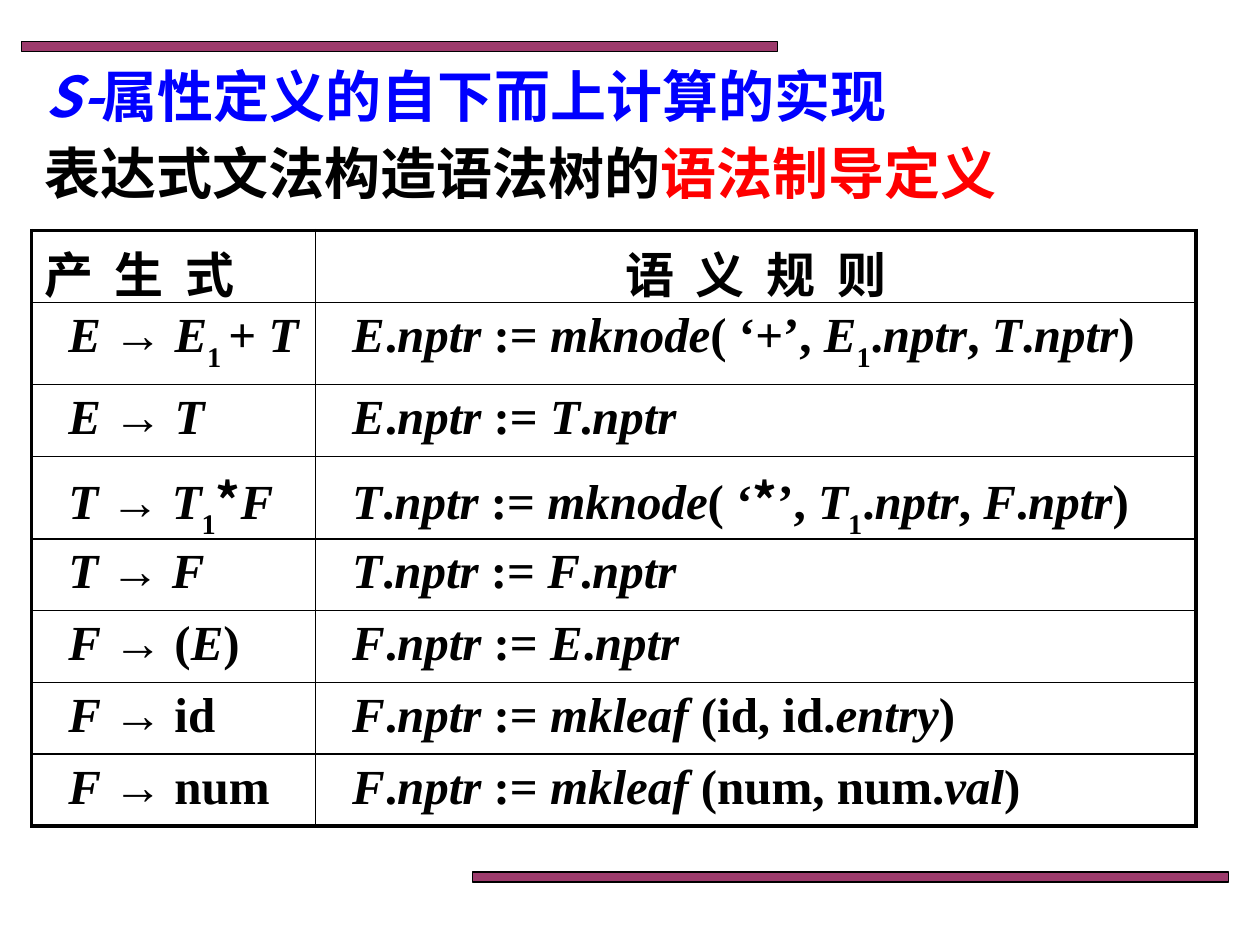
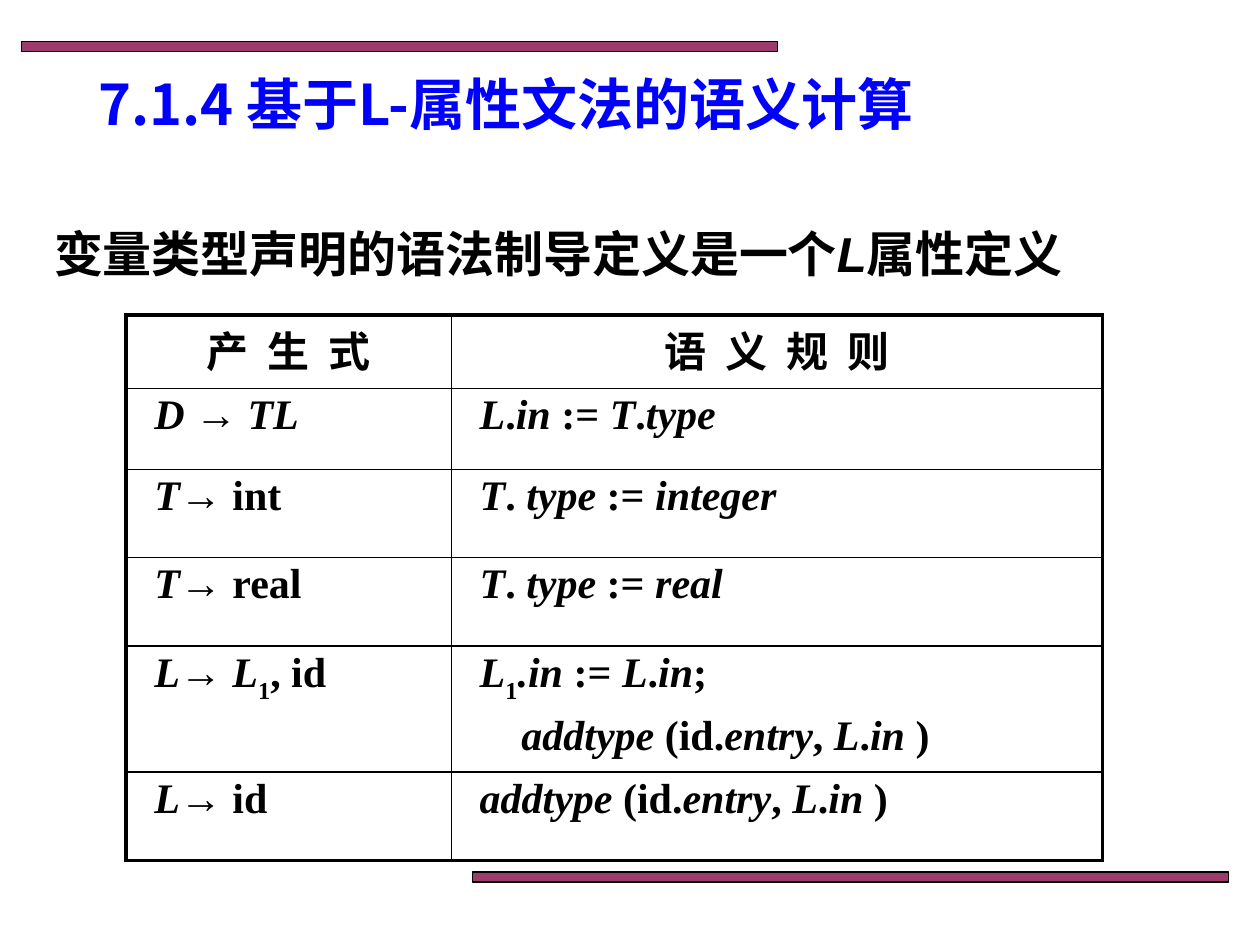
from dataclasses import dataclass
from itertools import groupby

from lxml.etree import SubElement
from pptx import Presentation
from pptx.dml.color import RGBColor
from pptx.enum.shapes import MSO_SHAPE as Preset
from pptx.enum.text import MSO_ANCHOR as Anchor, PP_ALIGN as Align
from pptx.oxml.ns import qn
from pptx.util import Cm, Pt


@dataclass(frozen=True)
class Theme:
    """Colours, fonts and type sizes that the slides share."""

    band: str = "993366"
    ink: str = "000000"
    title: str = "0000FF"
    accent: str = "FF0000"
    paper: str = "FFFFFF"
    heading_font: str = "Noto Sans CJK SC"
    latin_font: str = "Arial"
    formula_font: str = "Times New Roman"
    title_size: int = 32
    large_size: int = 28
    small_size: int = 24
    thick_line: float = 2.25
    thin_line: float = 1
    header_tracking: float = 0.11
    space_before: float = 0.2


@dataclass(frozen=True)
class Box:
    """A rectangle in centimetres."""

    left: float
    top: float
    width: float
    height: float

    def lengths(self):
        """Return the four sides as lengths."""
        return Cm(self.left), Cm(self.top), Cm(self.width), Cm(self.height)


@dataclass(frozen=True)
class TableStyle:
    """Measures that differ between the rule tables."""

    size: int
    columns: tuple
    rows: tuple
    margins: tuple
    indent: float
    header_aligns: tuple


THEME = Theme()
SLIDE_BOX = Box(0, 0, 25.4, 19.05)

TREE_RULES = (
    ("产 生 式", "语 义 规 则"),
    ("_E_ → _E_~1 ~+ _T_", "_E_._nptr_ := _mknode_( ‘+’, _E_~1~._nptr_, _T_._nptr_)"),
    ("_E_ → _T_", "_E_._nptr_ := _T_._nptr_"),
    ("_T_ → _T_~1~*_F_", "_T_._nptr_ := _mknode_( ‘*’, _T_~1~._nptr_, _F_._nptr_)"),
    ("_T_ → _F_", "_T_._nptr_ := _F_._nptr_"),
    ("_F_ → (_E_)", "_F_._nptr_ := _E_._nptr_"),
    ("_F_ → id", "_F_._nptr_ := _mkleaf_ (id, id._entry_)"),
    ("_F_ → num", "_F_._nptr_ := _mkleaf_ (num, num._val_)"),
)
TYPE_RULES = (
    ("产 生 式", "语 义 规 则"),
    ("_D_ → _TL_", "_L_._in_ := _T_._type_"),
    ("_T_→ int", "_T_. _type_ := _integer_"),
    ("_T_→ real", "_T_. _type_ := _real_"),
    ("_L_→ _L_~1~, id", "_L_~1~_.in_ := _L_._in_;\n_addtype_ (id._entry_, _L_._in_ )"),
    ("_L_→ id", "_addtype_ (id._entry_, _L_._in_ )"),
)
TREE_STYLE = TableStyle(THEME.large_size, (5.72, 17.75), (1.42,) * 8,
                        (0.25, 0.13), 0.49, (Align.LEFT, Align.CENTER))
TYPE_STYLE = TableStyle(THEME.small_size, (6.56, 13.13), (1.48, 1.63, 1.78, 1.78, 1.88, 1.78),
                        (0.15, 0.08), 0.42, (Align.CENTER, Align.CENTER))


def set_typeface(run, latin, east_asian):
    """Give a run its Latin and East Asian fonts."""
    run.font.name = latin
    SubElement(run.font._element, qn("a:ea"), typeface=east_asian)


def style_paragraph(paragraph, size, color):
    """Set the bold type that all runs of a paragraph share."""
    paragraph.font.size = Pt(size)
    paragraph.font.bold = True
    paragraph.font.color.rgb = RGBColor.from_string(color)


def add_run(paragraph, text, latin=THEME.heading_font, east_asian=THEME.heading_font,
            italic=None, color=None):
    """Add a run, with a colour of its own if one is given."""
    run = paragraph.add_run()
    run.text = text
    run.font.italic = italic
    set_typeface(run, latin, east_asian)
    if color:
        run.font.color.rgb = RGBColor.from_string(color)
    return run


def add_formula(paragraph, markup):
    """Write a formula where _ marks italics and ~ marks subscripts."""
    for italic_index, part in enumerate(markup.split("_")):
        for subscript_index, piece in enumerate(part.split("~")):
            for is_star, letters in groupby(piece, lambda letter: letter == "*"):
                font = THEME.heading_font if is_star else THEME.formula_font
                run = add_run(paragraph, "".join(letters), font, font, italic_index % 2 == 1)
                if subscript_index % 2:
                    run.font._element.set("baseline", "-30000")


def add_band(slide, box):
    """Draw one decorative band."""
    band = slide.shapes.add_shape(Preset.RECTANGLE, *box.lengths())
    band.shadow.inherit = False
    band.fill.solid()
    band.fill.fore_color.rgb = RGBColor.from_string(THEME.band)
    color = band._element.spPr.find(qn("a:solidFill"))[0]
    SubElement(color, qn("a:alpha"), val="96000")
    band.line.color.rgb = RGBColor.from_string(THEME.ink)
    band.line.width = Pt(0.75)


def add_bands(slide, box):
    """Place the upper left and lower right bands in a box."""
    width, height = 15.24, 0.2
    add_band(slide, Box(box.left + 0.43, box.top + 0.84, width, height))
    add_band(slide, Box(box.left + box.width - 0.63 - width, box.top + 17.58, width, height))


def add_text(slide, box, size, color, runs, anchor=Anchor.TOP, align=Align.LEFT):
    """Place one line of heading text, given as run arguments."""
    shape = slide.shapes.add_textbox(*box.lengths())
    frame = shape.text_frame
    frame.word_wrap = True
    frame.vertical_anchor = anchor
    frame.margin_top = Cm(0.05) if anchor == Anchor.TOP else Cm(0.13)
    paragraph = frame.paragraphs[0]
    paragraph.alignment = align
    style_paragraph(paragraph, size, color)
    for text, options in runs:
        add_run(paragraph, text, **options)


def add_title(slide, box, runs, align=Align.LEFT):
    """Place a slide title."""
    add_text(slide, box, THEME.title_size, THEME.title, runs, Anchor.MIDDLE, align)


def set_borders(cell, thick_sides):
    """Draw the four borders of a cell before its fill."""
    properties = cell._tc.get_or_add_tcPr()
    for position, side in enumerate("LRTB"):
        width = THEME.thick_line if side in thick_sides else THEME.thin_line
        line = SubElement(properties, qn(f"a:ln{side}"), w=str(Pt(width)))
        properties.insert(position, line)
        fill = SubElement(line, qn("a:solidFill"))
        SubElement(fill, qn("a:srgbClr"), val=THEME.ink)


def fill_cell(cell, text, style, header_align):
    """Write a heading, or formula lines when no heading alignment is given."""
    cell.margin_left = cell.margin_right = Cm(style.margins[0])
    cell.margin_top = cell.margin_bottom = Cm(style.margins[1])
    cell.fill.solid()
    cell.fill.fore_color.rgb = RGBColor.from_string(THEME.paper)
    frame = cell.text_frame
    for number, line in enumerate(text.split("\n")):
        paragraph = frame.add_paragraph() if number else frame.paragraphs[0]
        style_paragraph(paragraph, style.size, THEME.ink)
        paragraph.space_before = Pt(round(style.size * THEME.space_before, 1))
        if header_align is None:
            indent = style.indent * (3 if number else 1)
            paragraph._p.get_or_add_pPr().set("marL", str(Cm(indent)))
            add_formula(paragraph, line)
        else:
            paragraph.alignment = header_align
            run = add_run(paragraph, line)
            tracking = round(style.size * THEME.header_tracking * 100)
            run.font._element.set("spc", str(tracking))


def add_rules(slide, box, rules, style):
    """Place a table of productions and their semantic rules."""
    frame = slide.shapes.add_table(len(rules), len(style.columns), *box.lengths())
    table = frame.table
    table.first_row = table.horz_banding = False
    for column, width in zip(table.columns, style.columns):
        column.width = Cm(width)
    for row_index, texts in enumerate(rules):
        table.rows[row_index].height = Cm(style.rows[row_index])
        for column_index, text in enumerate(texts):
            cell = table.cell(row_index, column_index)
            header_align = None if row_index else style.header_aligns[column_index]
            fill_cell(cell, text, style, header_align)
            thick_sides = "R" if column_index else "L"
            if row_index == 0:
                thick_sides += "T"
            if row_index == len(rules) - 1:
                thick_sides += "B"
            set_borders(cell, thick_sides)


def add_tree_slide(slide, box):
    """Build the slide on syntax trees for expressions."""
    add_bands(slide, box)
    add_text(slide, Box(box.left + 0.64, box.top + 2.74, 23.93, 14.6),
             THEME.title_size, THEME.ink,
             [("表达式文法构造语法树的", {}), ("语法制导定义", {"color": THEME.accent})])
    add_rules(slide, Box(box.left + 0.64, box.top + 4.65, 23.47, 11.5), TREE_RULES, TREE_STYLE)
    add_title(slide, Box(box.left + 0.66, box.top + 1.07, 23.29, 1.7),
              [("S-", {"italic": True}), ("属性定义的自下而上计算的实现", {})])


def add_type_slide(slide, box):
    """Build the slide on type declarations."""
    add_bands(slide, box)
    add_text(slide, Box(box.left + 0.84, box.top + 4.45, 23.93, 13.13),
             THEME.large_size, THEME.ink,
             [("变量类型声明的语法制导定义是一个", {}),
              ("L", {"latin": THEME.latin_font, "italic": True}),
              ("属性定义", {})])
    add_rules(slide, Box(box.left + 2.54, box.top + 6.35, 19.69, 10.85), TYPE_RULES, TYPE_STYLE)
    add_title(slide, Box(box.left + 0.28, box.top + 1.27, 19.84, 1.63),
              [("7.1.4 基于L-属性文法的语义计算", {})], Align.CENTER)


def main():
    """Build and save the presentation."""
    presentation = Presentation()
    presentation.slide_width = Cm(SLIDE_BOX.width)
    presentation.slide_height = Cm(SLIDE_BOX.height)
    for add_content in (add_tree_slide, add_type_slide):
        slide = presentation.slides.add_slide(presentation.slide_layouts[6])
        add_content(slide, SLIDE_BOX)
    presentation.save("out.pptx")


if __name__ == "__main__":
    main()
